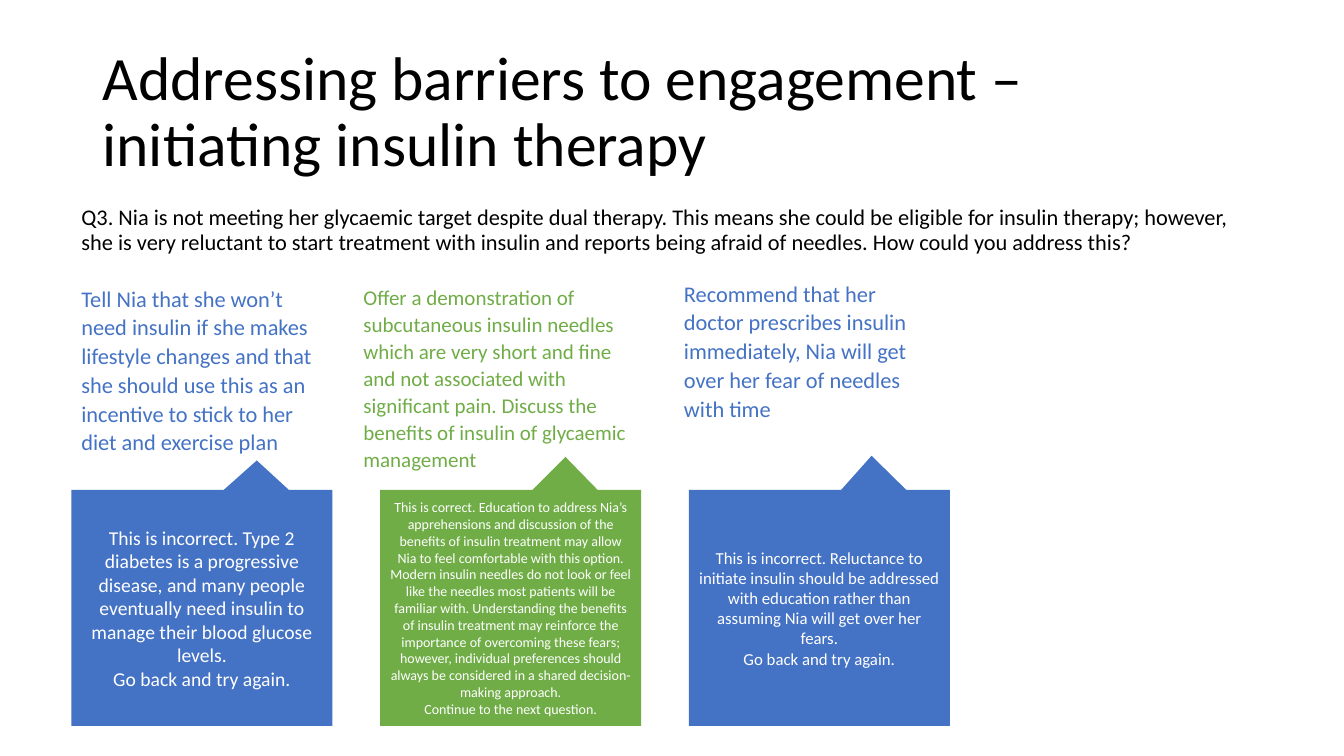
from pptx import Presentation
from pptx.dml.color import RGBColor
from pptx.enum import shapes, text
from pptx.oxml import ns, xmlchemy
from pptx.util import Pt

BLACK, WHITE, BLUE, GREEN = "000000", "FFFFFF", "4472C4", "70AD47"
TITLE = "Addressing barriers to engagement – \vinitiating insulin therapy"
QUESTION = (
    "Q3. Nia is not meeting her glycaemic target despite dual therapy. This means she "
    "could be eligible for insulin therapy; however, she is very reluctant to start "
    "treatment with insulin and reports being afraid of needles. How could you address this?"
)
RETRY = "Go back and try again."

# Each answer: colour, option box, option size, option, callout tip, feedback size, feedback
ANSWERS = [
    (BLUE, (51, 198.5, 186.5, 131), 16,
     "Tell Nia that she won’t need insulin if she makes lifestyle changes and that she "
     "should use this as an incentive to stick to her diet and exercise plan",
     (0.21, -0.625), 14,
     ["This is incorrect. Type 2 diabetes is a progressive disease, and many people "
      "eventually need insulin to manage their blood glucose levels.", RETRY]),
    (GREEN, (252.5, 198.5, 206, 142.5), 15,
     "Offer a demonstration of subcutaneous insulin needles which are very short and fine "
     "and not associated with significant pain. Discuss the benefits of insulin of "
     "glycaemic management",
     (0.21, -0.64), 10,
     ["This is correct. Education to address Nia’s apprehensions and discussion of the "
      "benefits of insulin treatment may allow Nia to feel comfortable with this option. "
      "Modern insulin needles do not look or feel like the needles most patients will be "
      "familiar with. Understanding the benefits of insulin treatment may reinforce the "
      "importance of overcoming these fears; however, individual preferences should always "
      "be considered in a shared decision-making approach.",
      "Continue to the next question."]),
    (BLUE, (481.5, 195, 196.5, 110), 16,
     "Recommend that her doctor prescribes insulin immediately, Nia will get over her fear "
     "of needles with time",
     (0.2, -0.645), 12,
     ["This is incorrect. Reluctance to initiate insulin should be addressed with education "
      "rather than assuming Nia will get over her fears.", RETRY]),
]
CALLOUT_LEFT, CALLOUT_STEP = 51, 220.5
CALLOUT_TOP, CALLOUT_WIDTH, CALLOUT_HEIGHT = 350, 186.5, 168.5


def rgb(color):
    return RGBColor.from_string(color)


def set_attrs(obj, values):
    for name, value in values.items():
        setattr(obj, name, value)


def write(sp, lines, size, color, anchor=text.MSO_ANCHOR.TOP, **para_format):
    """Fill a shape with paragraphs that share one format."""
    tf = sp.text_frame
    set_attrs(tf, {"text": "\n".join(lines), "word_wrap": True,
                   "auto_size": text.MSO_AUTO_SIZE.NONE, "vertical_anchor": anchor})
    for p in tf.paragraphs:
        set_attrs(p, para_format)
        for r in p.runs:
            set_attrs(r.font, {"name": "Calibri", "size": Pt(size)})
            r.font.color.rgb = rgb(color)


def place(sp, left, top, width, height):
    set_attrs(sp, {"left": Pt(left), "top": Pt(top),
                   "width": Pt(width), "height": Pt(height)})


def remove_bullets(sp):
    for p in sp.text_frame.paragraphs:
        p_pr = p._p.get_or_add_pPr()
        p_pr.set("marL", "0")
        p_pr.set("indent", "0")
        p_pr.append(xmlchemy.OxmlElement("a:buNone"))


def add_option(slide, box, option, size, color):
    sp = slide.shapes.add_textbox(*map(Pt, box))
    write(sp, [option], size, color, line_spacing=1.07, space_after=Pt(8))


def add_callout(slide, left, tip, feedback, size, color):
    sp = slide.shapes.add_shape(
        shapes.MSO_SHAPE.RECTANGULAR_CALLOUT,
        Pt(left), Pt(CALLOUT_TOP), Pt(CALLOUT_WIDTH), Pt(CALLOUT_HEIGHT))
    sp.adjustments[0], sp.adjustments[1] = tip
    sp.shadow.inherit = False
    sp.fill.solid()
    sp.fill.fore_color.rgb = rgb(color)
    sp.line.fill.background()
    write(sp, feedback, size, WHITE, text.MSO_ANCHOR.MIDDLE, alignment=text.PP_ALIGN.CENTER)


def main():
    prs = Presentation()
    set_attrs(prs, {"slide_width": Pt(960), "slide_height": Pt(540)})
    slide = prs.slides.add_slide(prs.slide_layouts[1])

    title, question = slide.placeholders
    place(title, 66, 29, 828, 104.5)
    write(title, [TITLE], 44, BLACK, text.MSO_ANCHOR.MIDDLE,
          alignment=text.PP_ALIGN.LEFT, line_spacing=0.9)
    place(question, 51, 144, 842.5, 51)
    write(question, [QUESTION], 16, BLACK, line_spacing=0.9, space_before=Pt(10))
    remove_bullets(question)

    for i, (color, box, option_size, option, tip, size, feedback) in enumerate(ANSWERS):
        add_callout(slide, CALLOUT_LEFT + i * CALLOUT_STEP, tip, feedback, size, color)
        add_option(slide, box, option, option_size, color)
    prs.save("out.pptx")


if __name__ == "__main__":
    main()
